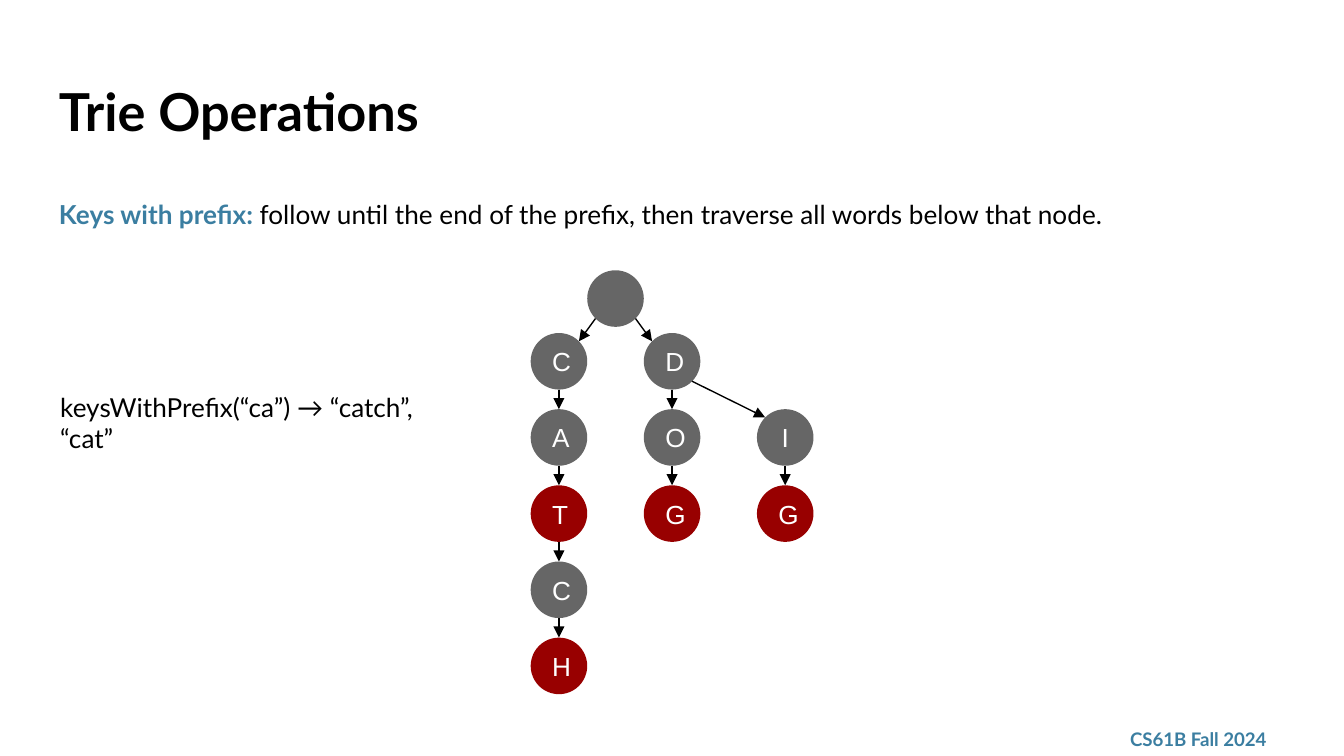
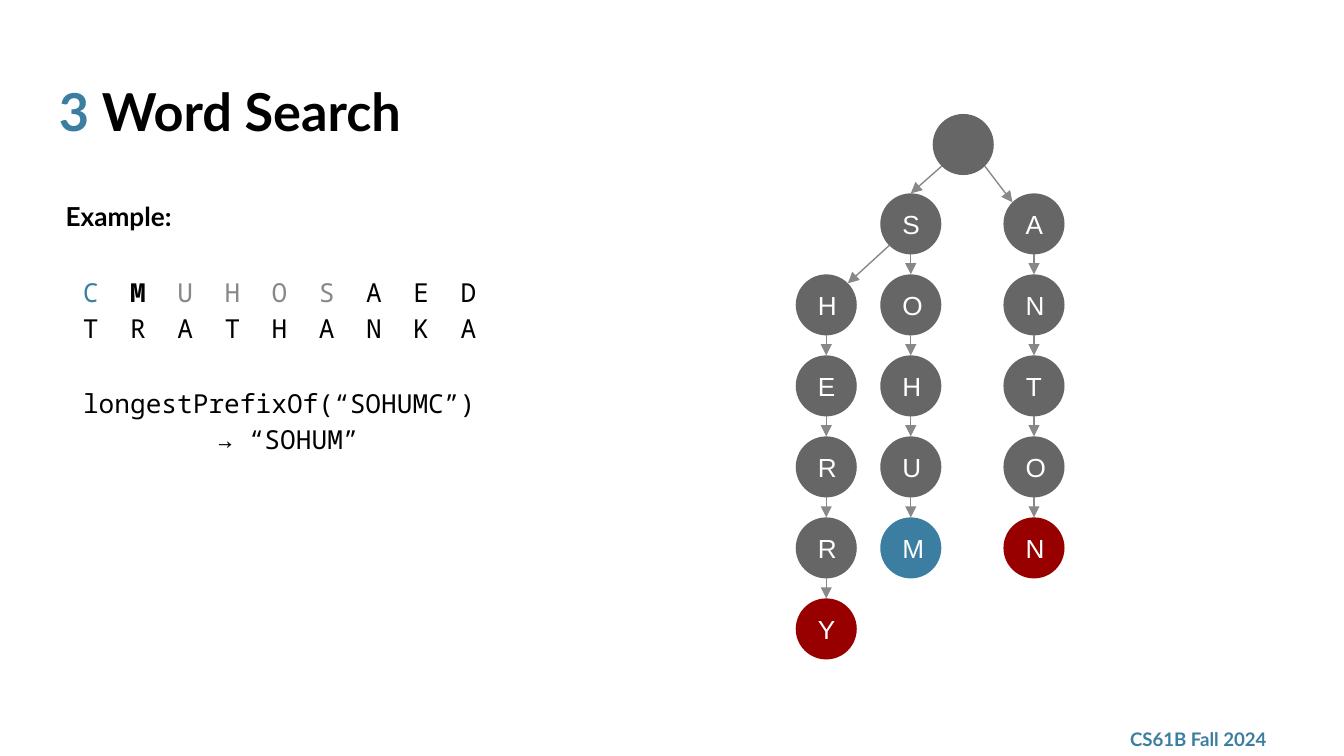
from lxml import etree
from pptx import Presentation
from pptx.dml.color import RGBColor
from pptx.enum.shapes import MSO_CONNECTOR, MSO_SHAPE
from pptx.enum.text import MSO_ANCHOR, PP_ALIGN
from pptx.oxml.ns import qn
from pptx.util import Pt

STRAIGHT = MSO_CONNECTOR.STRAIGHT
OVAL = MSO_SHAPE.OVAL
TOP, MIDDLE = MSO_ANCHOR.TOP, MSO_ANCHOR.MIDDLE
CENTER = PP_ALIGN.CENTER

BLUE = RGBColor(0x3B, 0x7E, 0xA1)
BLACK = RGBColor(0, 0, 0)
WHITE = RGBColor(0xFF, 0xFF, 0xFF)
GRAY = RGBColor(0x88, 0x88, 0x88)
NODE = RGBColor(0x66, 0x66, 0x66)
WORD_END = RGBColor(0x98, 0, 0)

SANS, MONO, LETTER = "Lato", "Noto Sans Mono", "Arial"
INSET = 7.2
GRID_STEP = 25.28

D = 0.7071
SITES = {"top": (0, -1), "bottom": (0, 1), "top_left": (-D, -D),
         "top_right": (D, -D), "bottom_left": (-D, D), "bottom_right": (D, D)}
ROOT = "root"

FOOTER = ((598.3, 386.6, 97.2, 18.7), [[("CS61B Fall 2024", BLUE, True)]])

SLIDES = [
    {
        "title": [("Trie Operations", BLACK, True)],
        "texts": [
            {"box": (24.5, 96.5, 671, 81.4), "spacing": 1.15, "after": 16,
             "lines": [[("Keys with prefix: ", BLUE, True),
                        ("follow until the end of the prefix, then traverse "
                         "all words below that node.", BLACK, False)]]},
            {"box": (25.2, 202.3, 213.8, 48.2),
             "lines": [[("keysWithPrefix(“ca”) → “catch”, “cat”", BLACK, False)]]},
        ],
        "trie": {
            "size": 30.3, "root": (314.6, 144.8), "first_y": 178.4, "pitch": 40.8,
            "line": BLACK,
            "columns": [(284.3, 0, "CATCH", {2: WORD_END, 4: WORD_END}),
                        (344.9, 0, "DOG", {2: WORD_END}),
                        (405.5, 1, "IG", {2: WORD_END})],
            "branches": [(ROOT, "bottom_left", (0, 0), "top_right"),
                         (ROOT, "bottom_right", (1, 0), "top_left"),
                         ((1, 0), "bottom_right", (2, 1), "top_left")],
        },
    },
    {
        "title": [("3 ", BLUE, True), ("Word Search", BLACK, True)],
        "texts": [
            {"box": (28.1, 97.9, 276.5, 31.7), "spacing": 1.15,
             "lines": [[("Example:", BLACK, True)]]},
            {"box": (37.4, 138.2, 347.8, 51.1), "spacing": 1.15, "font": MONO,
             "tabs": (GRID_STEP, 8),
             "lines": [[("C\t", BLUE, False), ("M\t", BLACK, True),
                        ("U\tH\tO\tS", GRAY, False), ("\tA\tE\tD", BLACK, False)],
                       [("T\tR\tA\tT\tH\tA\tN\tK\tA", BLACK, False)]]},
            {"box": (37.4, 198, 236.2, 51.1), "spacing": 1.15, "font": MONO,
             "tabs": (72, 1),
             "lines": [[("longestPrefixOf(“SOHUMC”)", BLACK, False)],
                       [("\t→ “SOHUM”", BLACK, False)]]},
        ],
        "trie": {
            "size": 32.7, "root": (499.7, 61.1), "first_y": 103.6, "pitch": 43.4,
            "line": GRAY,
            "columns": [(426.3, 1, "HERRY", {5: WORD_END}),
                        (471.6, 0, "SOHUM", {4: BLUE}),
                        (537.6, 0, "ANTON", {4: WORD_END})],
            "branches": [(ROOT, "bottom_left", (1, 0), "top"),
                         (ROOT, "bottom_right", (2, 0), "top_left"),
                         ((1, 0), "bottom_left", (0, 1), "top_right")],
        },
    },
]


def add_tabs(p, step, count):
    tabs = etree.SubElement(p._p.get_or_add_pPr(), qn("a:tabLst"))
    for i in range(1, count + 1):
        etree.SubElement(tabs, qn("a:tab"), pos=str(Pt(step * i)), algn="l")


def set_insets(tf):
    tf.margin_left = tf.margin_right = tf.margin_top = tf.margin_bottom = Pt(INSET)
    tf.word_wrap = True


def add_text(s, box, lines, size=14, font=SANS, spacing=None, after=None,
             tabs=None, anchor=TOP):
    tf = s.shapes.add_textbox(*map(Pt, box)).text_frame
    set_insets(tf)
    tf.vertical_anchor = anchor
    for i, runs in enumerate(lines):
        p = tf.add_paragraph() if i else tf.paragraphs[0]
        if spacing:
            p.line_spacing = spacing
        if after:
            p.space_after = Pt(after)
        if tabs:
            add_tabs(p, *tabs)
        p.font.name, p.font.size = font, Pt(size)
        for text, color, bold in runs:
            r = p.add_run()
            r.text = text
            r.font.color.rgb, r.font.bold = color, bold


def add_node(s, x, y, size, letter="", color=NODE):
    sp = s.shapes.add_shape(OVAL, Pt(x), Pt(y), Pt(size), Pt(size))
    sp.shadow.inherit = False
    sp.fill.solid()
    sp.fill.fore_color.rgb = color
    sp.line.fill.background()
    if letter:
        tf = sp.text_frame
        set_insets(tf)
        tf.vertical_anchor = MIDDLE
        p = tf.paragraphs[0]
        p.text, p.alignment = letter, CENTER
        p.font.name, p.font.size = LETTER, Pt(14)
        p.font.color.rgb = WHITE


def add_arrow(s, start, end, color):
    cxn = s.shapes.add_connector(STRAIGHT, *map(Pt, start + end))
    cxn.line.color.rgb = color
    cxn.line.width = Pt(0.75)
    etree.SubElement(cxn.line._get_or_add_ln(), qn("a:tailEnd"), type="triangle")
    etree.SubElement(cxn._element.spPr, qn("a:effectLst"))


def add_trie(s, trie):
    size = trie["size"]
    places = {ROOT: trie["root"]}
    links = list(trie["branches"])
    add_node(s, *trie["root"], size)
    for col, (x, first, letters, marks) in enumerate(trie["columns"]):
        for row, letter in enumerate(letters, first):
            y = trie["first_y"] + row * trie["pitch"]
            places[col, row] = (x, y)
            add_node(s, x, y, size, letter, marks.get(row, NODE))
            if row > first:
                links.append(((col, row - 1), "bottom", (col, row), "top"))

    def site(node, name):
        return tuple(v + size / 2 * (1 + d) for v, d in zip(places[node], SITES[name]))

    for parent, leave, child, enter in links:
        add_arrow(s, site(parent, leave), site(child, enter), trie["line"])


def main():
    prs = Presentation()
    prs.slide_width, prs.slide_height = Pt(720), Pt(405)
    for content in SLIDES:
        s = prs.slides.add_slide(prs.slide_layouts[6])
        add_text(s, *FOOTER, size=10, anchor=MIDDLE)
        add_text(s, (24.5, 35.3, 430, 45.4), [content["title"]], size=28)
        for text in content["texts"]:
            add_text(s, **text)
        add_trie(s, content["trie"])
    prs.save("out.pptx")


if __name__ == "__main__":
    main()
